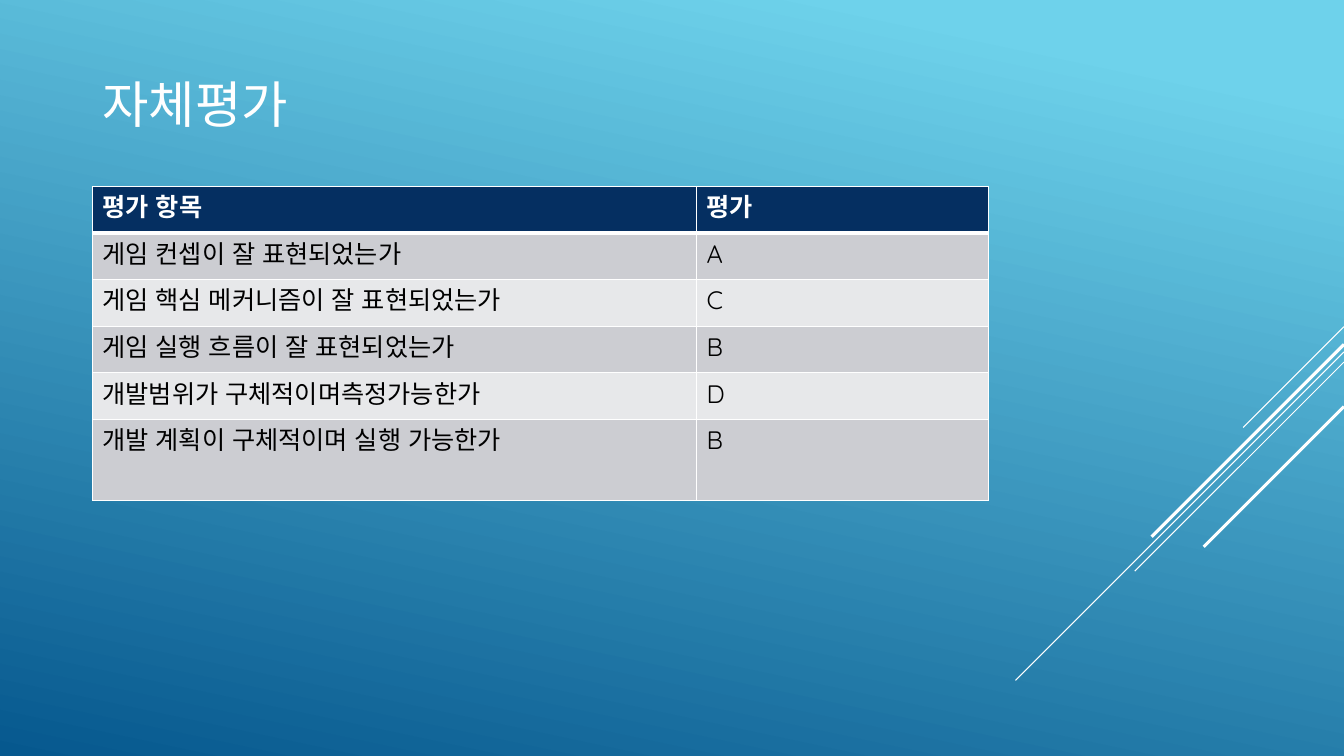
from typing import NamedTuple

from lxml import etree
from pptx import Presentation
from pptx.dml.color import RGBColor
from pptx.enum.shapes import MSO_CONNECTOR
from pptx.enum.text import MSO_ANCHOR
from pptx.oxml.ns import qn
from pptx.util import Emu, Inches, Pt

STRAIGHT = MSO_CONNECTOR.STRAIGHT
MIDDLE = MSO_ANCHOR.MIDDLE

SLIDE_W, SLIDE_H = Inches(13.33), Inches(7.5)
GRID_ROWS = 90
FONT = "Quicksand"
WHITE, BLACK, NAVY = "FFFFFF", "000000", "052F61"
BANDS = ("CCCDD2", "E7E8EA")
SKY, DEEP = "6ED2EB", "06588E"


class Streak(NamedTuple):
    top: float
    reach: float
    weight: float


class Rating(NamedTuple):
    item: str
    grade: str


STREAKS = [
    Streak(38.9, 12, 0.75),
    Streak(41.9, 39.1, 0.75),
    Streak(43.1, 24.9, 0.75),
    Streak(41, 22.9, 2.25),
    Streak(48.4, 16.7, 2.25),
]

RATINGS = [
    Rating("평가 항목", "평가"),
    Rating("게임 컨셉이 잘 표현되었는가", "A"),
    Rating("게임 핵심 메커니즘이 잘 표현되었는가", "C"),
    Rating("게임 실행 흐름이 잘 표현되었는가", "B"),
    Rating("개발범위가 구체적이며측정가능한가", "D"),
    Rating("개발 계획이 구체적이며 실행 가능한가", "B"),
]

LEFT = 11
TITLE_TOP, TITLE_W, TITLE_H = 2.4, 112, 19.8
TABLE_TOP = 22.2
COLUMN_WIDTHS = (71.9, 34.8)
ROW_HEIGHTS = (5.55,) * 5 + (9.7,)


def grid(units: float) -> Emu:
    return Emu(round(SLIDE_H * units / GRID_ROWS))


def color(value: str) -> RGBColor:
    return RGBColor.from_string(value)


def add_text(tf, text: str, size: float, ink: str, bold: bool = False) -> None:
    r = tf.paragraphs[0].add_run()
    r.text = text
    r.font.name = FONT
    r.font.size = Pt(size)
    r.font.bold = bold
    r.font.color.rgb = color(ink)
    etree.SubElement(r._r.get_or_add_rPr(), qn("a:ea"), typeface=FONT)


def paint_background(s) -> None:
    fill = s.background.fill
    fill.gradient()
    fill.gradient_angle = 360 - 102
    for stop, position, shade in zip(fill.gradient_stops, (0.1, 1), (SKY, DEEP)):
        stop.position = position
        stop.color.rgb = color(shade)


def add_streak(s, streak: Streak) -> None:
    line = s.shapes.add_connector(
        STRAIGHT, SLIDE_W, grid(streak.top),
        SLIDE_W - grid(streak.reach), grid(streak.top + streak.reach))
    line.line.color.rgb = color(WHITE)
    line.line.width = Pt(streak.weight)
    etree.SubElement(line._element.spPr, qn("a:effectLst"))


def add_title(s, text: str) -> None:
    sp = s.shapes.add_textbox(grid(LEFT), grid(TITLE_TOP), grid(TITLE_W), grid(TITLE_H))
    tf = sp.text_frame
    tf.word_wrap = True
    tf.vertical_anchor = MIDDLE
    add_text(tf, text, 36, WHITE)


def add_border(cell, side: str, weight: float) -> None:
    ln = etree.SubElement(cell._tc.get_or_add_tcPr(), qn(f"a:ln{side}"), w=str(Pt(weight)))
    fill = etree.SubElement(ln, qn("a:solidFill"))
    etree.SubElement(fill, qn("a:srgbClr"), val=WHITE)


def add_ratings(s, ratings: list[Rating]) -> None:
    table = s.shapes.add_table(
        len(ratings), len(COLUMN_WIDTHS), grid(LEFT), grid(TABLE_TOP),
        grid(sum(COLUMN_WIDTHS)), grid(sum(ROW_HEIGHTS))).table
    for column, width in zip(table.columns, COLUMN_WIDTHS):
        column.width = grid(width)
    for row, height in zip(table.rows, ROW_HEIGHTS):
        row.height = grid(height)
    for i, rating in enumerate(ratings):
        header = i == 0
        weights = {"L": 1, "R": 1, "T": 3 if i == 1 else 1, "B": 3 if header else 1}
        for j, text in enumerate(rating):
            cell = table.cell(i, j)
            for side, weight in weights.items():
                add_border(cell, side, weight)
            cell.fill.solid()
            cell.fill.fore_color.rgb = color(NAVY if header else BANDS[(i - 1) % 2])
            add_text(cell.text_frame, text, 18, WHITE if header else BLACK, header)


def main() -> None:
    prs = Presentation()
    prs.slide_width, prs.slide_height = SLIDE_W, SLIDE_H
    s = prs.slides.add_slide(prs.slide_layouts[6])
    paint_background(s)
    for streak in STREAKS:
        add_streak(s, streak)
    add_title(s, "자체평가")
    add_ratings(s, RATINGS)
    prs.save("out.pptx")


if __name__ == "__main__":
    main()
